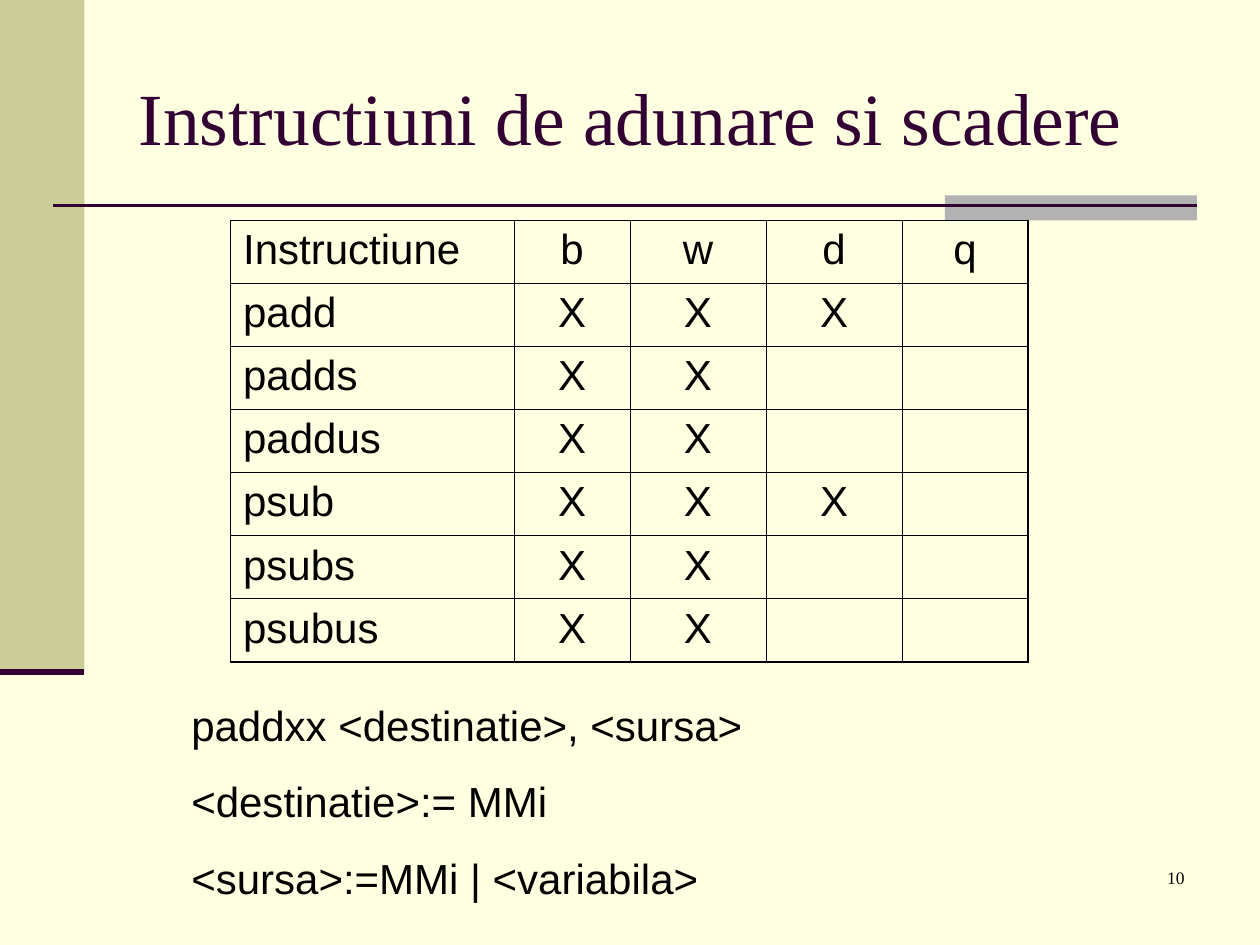
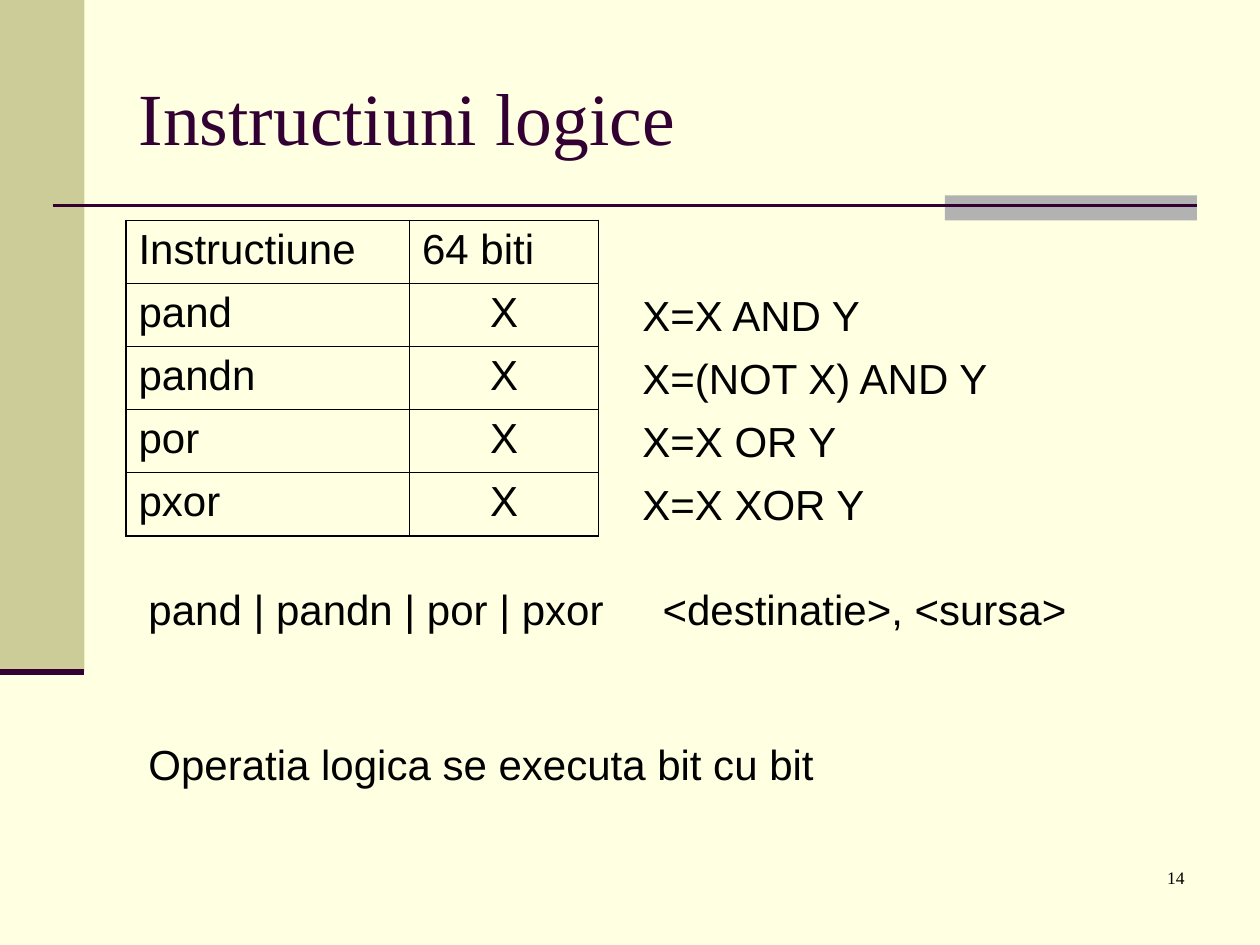
"""Build two slides on packed arithmetic and logic instructions."""
from dataclasses import dataclass

from lxml.etree import SubElement
from pptx import Presentation
from pptx.dml.color import RGBColor
from pptx.enum.shapes import MSO_CONNECTOR, MSO_SHAPE
from pptx.enum.text import MSO_ANCHOR, PP_ALIGN
from pptx.oxml import parse_xml
from pptx.oxml.ns import nsdecls, qn
from pptx.util import Inches, Pt

CREAM = RGBColor(0xFF, 0xFF, 0xE1)
KHAKI = RGBColor(0xCC, 0xCC, 0x99)
GREY = RGBColor(0xB2, 0xB2, 0xB2)
PLUM = RGBColor(0x33, 0x00, 0x33)
BLACK = RGBColor(0x00, 0x00, 0x00)
SERIF = "Times New Roman"
SANS = "Arial"
ROW_HEIGHT = 0.5
OUTER_BORDER = 1.08
INNER_BORDER = 0.45
TITLE_ONLY = 5


@dataclass(frozen=True)
class Frame:
    """Left, top, width and height in inches."""
    left: float
    top: float
    width: float
    height: float

    def lengths(self) -> tuple:
        """Return the four values as lengths."""
        return tuple(Inches(v) for v in (self.left, self.top, self.width, self.height))


@dataclass(frozen=True)
class Band:
    """A filled rectangle of the theme."""
    frame: Frame
    color: RGBColor


@dataclass(frozen=True)
class Rule:
    """A horizontal line of the theme."""
    left: float
    right: float
    top: float
    weight: float


@dataclass(frozen=True)
class Line:
    """One paragraph, with the space above it and an optional tab stop."""
    text: str
    space_before: float = 15
    tab_stop: float = 0


@dataclass(frozen=True)
class Grid:
    """An instruction table; centred columns start at first_centred in the header."""
    left: float
    top: float
    widths: tuple
    rows: tuple
    header_centred: bool


BANDS = (
    Band(Frame(0, 0, 0.67, 5.33), KHAKI),
    Band(Frame(7.5, 1.55, 2, 0.2), GREY),
)
RULES = (Rule(0.42, 9.5, 1.63, 1.5), Rule(0, 0.67, 5.33, 3.5))
TITLE_FRAME = Frame(1, 0.3, 8.5, 1.25)
NUMBER_FRAME = Frame(7.42, 6.83, 2.08, 0.5)

ARITHMETIC = Grid(
    1.83, 1.75, (2.25, 0.92, 1.08, 1.08, 1),
    (
        ("Instructiune", "b", "w", "d", "q"),
        ("padd", "X", "X", "X", ""),
        ("padds", "X", "X", "", ""),
        ("paddus", "X", "X", "", ""),
        ("psub", "X", "X", "X", ""),
        ("psubs", "X", "X", "", ""),
        ("psubus", "X", "X", "", ""),
    ),
    True,
)
LOGIC = Grid(
    1, 1.75, (2.25, 1.5),
    (("Instructiune", "64 biti"),)
    + tuple((name, "X") for name in ("pand", "pandn", "por", "pxor")),
    False,
)
FORMULAS = (
    ("X=X AND Y", 2.42),
    ("X=(NOT X) AND Y", 3),
    ("X=X OR Y", 2.42),
    ("X=X XOR Y", 2.42),
)
ARITHMETIC_SYNTAX = (
    Line("paddxx <destinatie>, <sursa>"),
    Line("<destinatie>:= MMi"),
    Line("<sursa>:=MMi | <variabila>"),
)
LOGIC_SYNTAX = (
    Line("pand | pandn | por | pxor\t<destinatie>, <sursa>", tab_stop=4.08),
    Line("Operatia logica se executa bit cu bit", space_before=60),
)


def add_span(para, text: str, font: str, size: float, color: RGBColor) -> None:
    """Add one formatted run to a paragraph."""
    span = para.add_run()
    span.text = text
    span.font.name = font
    span.font.size = Pt(size)
    span.font.color.rgb = color


def add_band(page, band: Band) -> None:
    """Draw a plain filled rectangle."""
    box = page.shapes.add_shape(MSO_SHAPE.RECTANGLE, *band.frame.lengths())
    box.shadow.inherit = False
    box.fill.solid()
    box.fill.fore_color.rgb = band.color
    box.line.fill.background()


def add_rule(page, rule: Rule) -> None:
    """Draw a horizontal line without a shadow."""
    line = page.shapes.add_connector(
        MSO_CONNECTOR.STRAIGHT, Inches(rule.left), Inches(rule.top),
        Inches(rule.right), Inches(rule.top))
    line.line.color.rgb = PLUM
    line.line.width = Pt(rule.weight)
    SubElement(line.element.spPr, qn("a:effectLst"))


def add_text_frame(page, frame: Frame):
    """Add a wrapping text box and return its text frame."""
    box = page.shapes.add_textbox(*frame.lengths())
    box.text_frame.word_wrap = True
    return box.text_frame


def add_lines(page, frame: Frame, lines: tuple) -> None:
    """Write body paragraphs in a text box."""
    text_frame = add_text_frame(page, frame)
    for index, line in enumerate(lines):
        para = text_frame.add_paragraph() if index else text_frame.paragraphs[0]
        para.space_before = Pt(line.space_before)
        if line.tab_stop:
            stops = SubElement(para._p.get_or_add_pPr(), qn("a:tabLst"))
            SubElement(stops, qn("a:tab"), pos=str(Inches(line.tab_stop)), algn="l")
        add_span(para, line.text, SANS, 24, BLACK)


def set_borders(cell, outer_sides: dict) -> None:
    """Give a cell thick outer and thin inner borders."""
    properties = cell._tc.get_or_add_tcPr()
    for index, (side, is_outer) in enumerate(outer_sides.items()):
        width = Pt(OUTER_BORDER if is_outer else INNER_BORDER)
        properties.insert(index, parse_xml(
            f'<a:ln{side} {nsdecls("a")} w="{width}"><a:solidFill>'
            f'<a:srgbClr val="{BLACK}"/></a:solidFill></a:ln{side}>'))


def add_grid(page, grid: Grid) -> None:
    """Draw an instruction table."""
    row_count, column_count = len(grid.rows), len(grid.widths)
    frame = Frame(grid.left, grid.top, sum(grid.widths), ROW_HEIGHT * row_count)
    table = page.shapes.add_table(row_count, column_count, *frame.lengths()).table
    table.first_row = table.horz_banding = False
    for column, width in zip(table.columns, grid.widths):
        column.width = Inches(width)
    for row, texts in enumerate(grid.rows):
        for column, text in enumerate(texts):
            cell = table.cell(row, column)
            cell.fill.background()
            set_borders(cell, {
                "L": column == 0, "R": column == column_count - 1,
                "T": row == 0, "B": row == row_count - 1})
            if not text:
                continue
            para = cell.text_frame.paragraphs[0]
            para.space_before = Pt(6)
            centred = column > 0 and (row > 0 or grid.header_centred)
            para.alignment = PP_ALIGN.CENTER if centred else PP_ALIGN.LEFT
            add_span(para, text, SANS, 24, BLACK)


def add_page(deck, title: str, number: str):
    """Add a slide with the shared bands, rules, title and number."""
    page = deck.slides.add_slide(deck.slide_layouts[TITLE_ONLY])
    for band in BANDS:
        add_band(page, band)
    for rule in RULES:
        add_rule(page, rule)
    box = page.shapes.title
    box.left, box.top, box.width, box.height = TITLE_FRAME.lengths()
    box.text_frame.vertical_anchor = MSO_ANCHOR.MIDDLE
    heading = box.text_frame.paragraphs[0]
    heading.alignment = PP_ALIGN.LEFT
    add_span(heading, title, SERIF, 42, PLUM)
    footer = add_text_frame(page, NUMBER_FRAME).paragraphs[0]
    footer.alignment = PP_ALIGN.RIGHT
    add_span(footer, number, SERIF, 10, BLACK)
    return page


def main() -> None:
    """Build and save the deck."""
    deck = Presentation()
    deck.slide_width, deck.slide_height = Inches(10), Inches(7.5)
    background = deck.slide_master.background.fill
    background.solid()
    background.fore_color.rgb = CREAM

    page = add_page(deck, "Instructiuni de adunare si scadere", "10")
    add_grid(page, ARITHMETIC)
    add_lines(page, Frame(1.42, 5.5, 5.67, 1.72), ARITHMETIC_SYNTAX)

    page = add_page(deck, "Instructiuni logice", "14")
    add_grid(page, LOGIC)
    for row, (formula, width) in enumerate(FORMULAS, start=1):
        top = LOGIC.top + row * ROW_HEIGHT
        add_lines(page, Frame(5, top, width, ROW_HEIGHT), (Line(formula),))
    add_lines(page, Frame(1.08, 4.58, 8.08, 1.72), LOGIC_SYNTAX)

    deck.save("out.pptx")


if __name__ == "__main__":
    main()
